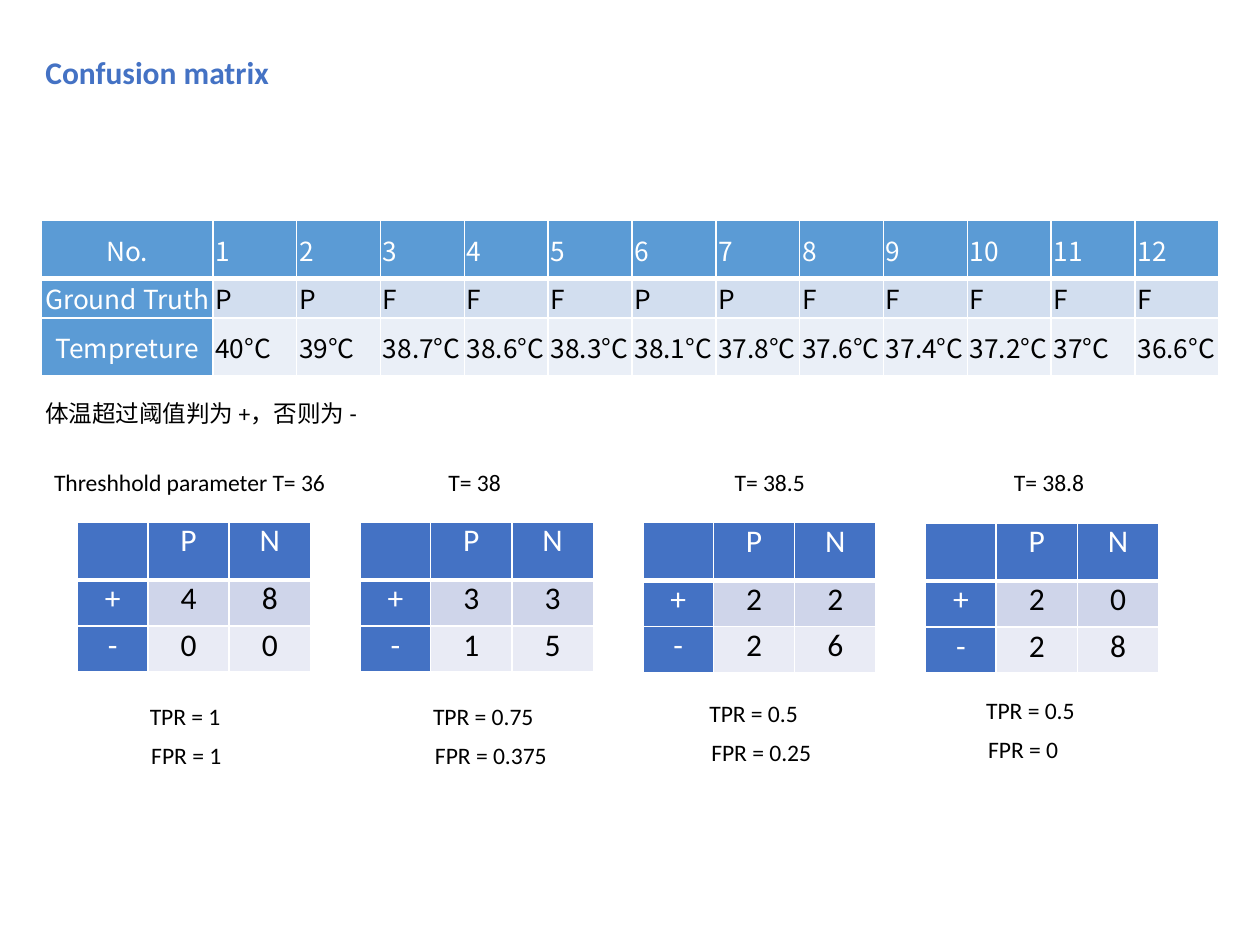
"""Build the confusion matrix slide with its four thresholds."""
from dataclasses import dataclass

from pptx import Presentation
from pptx.dml.color import RGBColor
from pptx.enum.text import MSO_ANCHOR, MSO_AUTO_SIZE, PP_ALIGN
from pptx.oxml.ns import qn
from pptx.util import Cm, Pt
from lxml import etree

LEFT, CENTER, JUSTIFY = PP_ALIGN.LEFT, PP_ALIGN.CENTER, PP_ALIGN.JUSTIFY
TOP, MIDDLE = MSO_ANCHOR.TOP, MSO_ANCHOR.MIDDLE
GROW = MSO_AUTO_SIZE.SHAPE_TO_FIT_TEXT


@dataclass(frozen=True)
class Theme:
    """Fonts, type sizes and colours of the slide."""
    latin: str = "Calibri"
    asian: str = "Noto Sans CJK SC"
    title: float = 18
    label: float = 13.5
    data: float = 15
    count: float = 18
    blue: str = "4472C4"
    black: str = "000000"
    white: str = "FFFFFF"


@dataclass(frozen=True)
class Grid:
    """Look and measures of one kind of table."""
    cols: tuple[float, ...]
    rows: tuple[float, ...]
    head: str
    bands: tuple[str, str]
    font: str
    size: float
    inset: float
    anchor: MSO_ANCHOR
    align: PP_ALIGN


@dataclass(frozen=True)
class Label:
    """A line of text with its place and width."""
    text: str
    left: float
    top: float
    width: float


@dataclass(frozen=True)
class Case:
    """One threshold with its counts and its rates."""
    top: float
    counts: tuple[tuple[int, int], tuple[int, int]]
    labels: tuple[Label, Label, Label]


THEME = Theme()
DATA = Grid((3.45,) + (1.69,) * 12, (1.17, 0.79, 1.17), "5B9BD5",
            ("D2DEEF", "EAEFF7"), THEME.asian, THEME.data, 0.05, MIDDLE, JUSTIFY)
MATRIX = Grid((1.42, 1.64, 1.64), (1.17, 0.93, 0.93), THEME.blue,
              ("CFD5EA", "E9EBF5"), THEME.latin, THEME.count, 0.08, TOP, CENTER)
FIRST, STEP = 1.56, 5.7

TRUTH = "PPFFFPPFFFFF"
TEMPS = (40, 39, 38.7, 38.6, 38.3, 38.1, 37.8, 37.6, 37.4, 37.2, 37, 36.6)
NOTE = Label("体温超过阈值判为 +，否则为 -", 0.66, 7.92, 6.88)
CASES = (
    Case(10.52, ((4, 8), (0, 0)), (
        Label("Threshhold parameter T= 36", 0.84, 9.31, 6.27),
        Label("TPR = 1", 2.77, 14.02, 1.96), Label("FPR = 1", 2.8, 14.81, 1.96))),
    Case(10.52, ((3, 3), (1, 5)), (
        Label("T= 38", 8.79, 9.31, 1.8),
        Label("TPR = 0.75", 8.48, 14.02, 2.57), Label("FPR = 0.375", 8.52, 14.81, 2.8))),
    Case(10.53, ((2, 2), (2, 6)), (
        Label("T= 38.5", 14.56, 9.31, 2.06),
        Label("TPR = 0.5", 14.05, 13.96, 2.34), Label("FPR = 0.25", 14.09, 14.75, 2.57))),
    Case(10.54, ((2, 0), (2, 8)), (
        Label("T= 38.8", 20.19, 9.31, 2.16),
        Label("TPR = 0.5", 19.63, 13.9, 2.34), Label("FPR = 0", 19.67, 14.7, 1.96))),
)


def style(para, font: str, size: float, color: str, bold: bool = False) -> None:
    """Format every run of a paragraph."""
    for run in para.runs:
        run.font.name, run.font.size, run.font.bold = font, Pt(size), bold
        run.font.color.rgb = RGBColor.from_string(color)
        asian = etree.SubElement(run.font._element, qn("a:ea"))
        asian.set("typeface", THEME.asian)


def edge(cell, head: bool) -> None:
    """Draw white borders, with a thick one below the head row."""
    props = cell._tc.get_or_add_tcPr()
    for side in "LRTB":
        width = 3 if head and side == "B" else 1
        line = etree.SubElement(props, qn(f"a:ln{side}"), w=str(Pt(width)))
        fill = etree.SubElement(line, qn("a:solidFill"))
        etree.SubElement(fill, qn("a:srgbClr"), val=THEME.white)


def add_grid(slide, grid: Grid, left: float, top: float, rows: list[list[str]]) -> None:
    """Add a table with a coloured head row and head column."""
    frame = slide.shapes.add_table(len(grid.rows), len(grid.cols), Cm(left), Cm(top),
                                   Cm(sum(grid.cols)), Cm(sum(grid.rows)))
    table = frame.table
    for col, width in zip(table.columns, grid.cols):
        col.width = Cm(width)
    for r, (row, height) in enumerate(zip(table.rows, grid.rows)):
        row.height = Cm(height)
        for c, cell in enumerate(row.cells):
            head = r == 0 or c == 0
            edge(cell, r == 0)
            cell.fill.solid()
            cell.fill.fore_color.rgb = RGBColor.from_string(
                grid.head if head else grid.bands[r - 1])
            cell.margin_left = cell.margin_right = Cm(grid.inset)
            cell.margin_top = cell.margin_bottom = 0
            cell.vertical_anchor = grid.anchor
            cell.text_frame.text = rows[r][c]
            para = cell.text_frame.paragraphs[0]
            para.alignment = CENTER if c == 0 else grid.align
            style(para, grid.font, grid.size, THEME.white if head else THEME.black)


def add_label(slide, label: Label, wrap: bool = False) -> None:
    """Add a small text box."""
    box = slide.shapes.add_textbox(Cm(label.left), Cm(label.top),
                                   Cm(label.width), Cm(0.83))
    frame = box.text_frame
    frame.text = label.text
    frame.word_wrap, frame.auto_size = wrap, GROW
    style(frame.paragraphs[0], THEME.latin, THEME.label, THEME.black)


def set_title(slide, text: str) -> None:
    """Place and format the title."""
    title = slide.shapes.title
    title.left, title.top, title.width, title.height = (
        Cm(0.66), Cm(0.94), Cm(5.05), Cm(1.02))
    frame = title.text_frame
    frame.text = text
    frame.word_wrap, frame.auto_size, frame.vertical_anchor = False, GROW, TOP
    frame.paragraphs[0].alignment = LEFT
    style(frame.paragraphs[0], THEME.latin, THEME.title, THEME.blue, True)


def main() -> None:
    """Build and save the slide."""
    deck = Presentation()
    deck.slide_width, deck.slide_height = Cm(25.4), Cm(19.05)
    slide = deck.slides.add_slide(deck.slide_layouts[5])
    set_title(slide, "Confusion matrix")
    add_grid(slide, DATA, 0.84, 4.45, [
        ["No.", *(str(n) for n in range(1, len(TEMPS) + 1))],
        ["Ground Truth", *TRUTH],
        ["Tempreture", *(f"{temp}°C" for temp in TEMPS)],
    ])
    add_label(slide, NOTE, wrap=True)
    for i, case in enumerate(CASES):
        rows = [[sign, *map(str, pair)] for sign, pair in zip("+-", case.counts)]
        add_grid(slide, MATRIX, FIRST + i * STEP, case.top, [["", "P", "N"], *rows])
        for label in case.labels:
            add_label(slide, label)
    deck.save("out.pptx")


if __name__ == "__main__":
    main()
